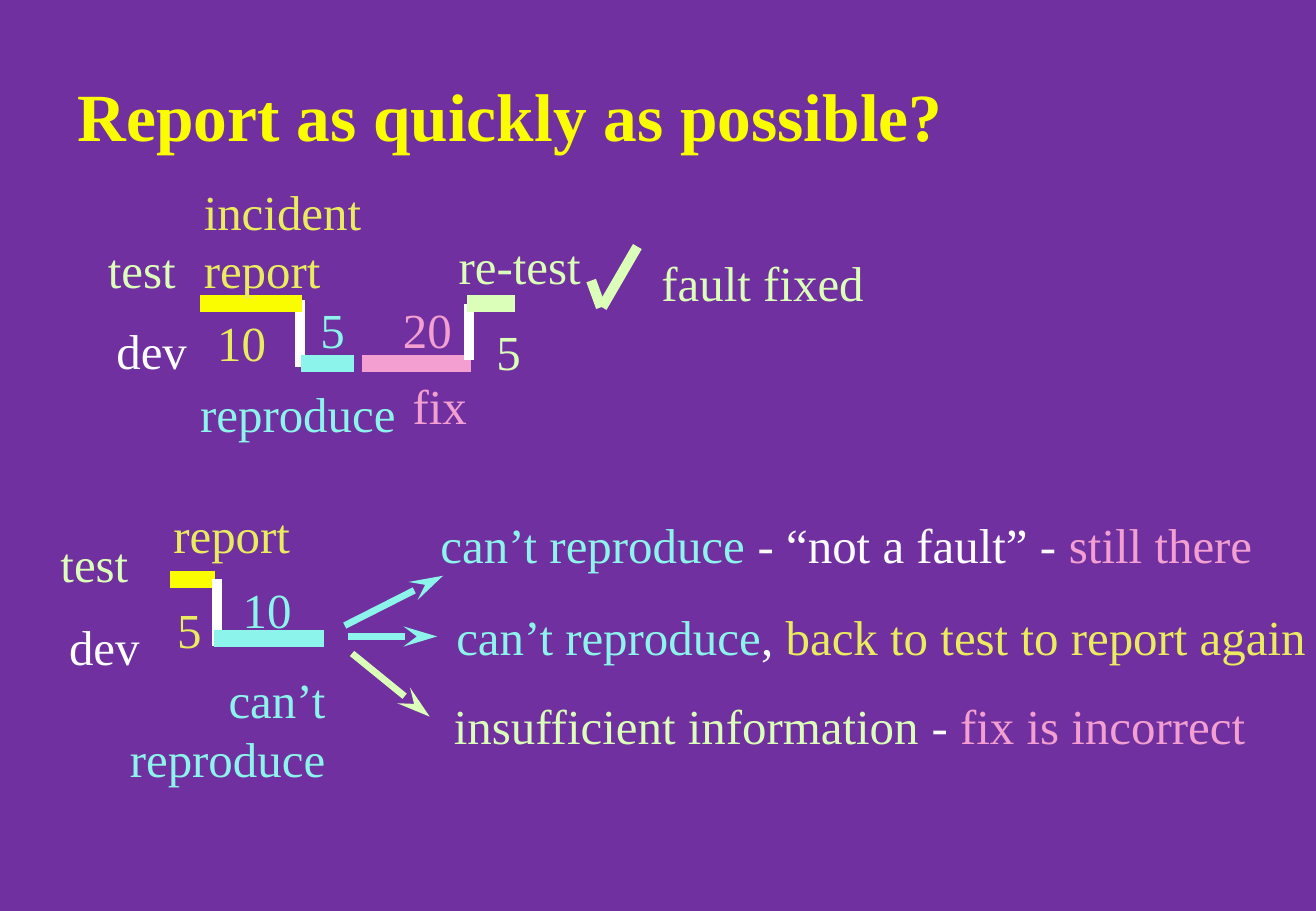
from dataclasses import dataclass

from lxml.etree import SubElement
from pptx import Presentation
from pptx.dml.color import RGBColor
from pptx.enum.shapes import MSO_CONNECTOR as Connector
from pptx.enum.text import MSO_ANCHOR as Anchor, MSO_AUTO_SIZE as AutoSize, PP_ALIGN as Align
from pptx.oxml.ns import qn
from pptx.util import Inches, Pt


@dataclass(frozen=True)
class Theme:
    font: str = "Times New Roman"
    title_size: float = 40
    label_size: float = 29
    label_spacing: float = 34.5
    bar_width: float = 10
    post_width: float = 6
    arrow_width: float = 4
    background: str = "7030A0"
    bright: str = "FAFD00"
    yellow: str = "EAEC5E"
    green: str = "DBFFB8"
    cyan: str = "8CF4EA"
    pink: str = "F39FD1"
    white: str = "FFFFFF"


class SlideBuilder:
    """Places elements on a grid whose columns and rows are a tenth of an inch."""

    def __init__(self, slide, theme):
        self.slide = slide
        self.theme = theme
        fill = slide.background.fill
        fill.solid()
        fill.fore_color.rgb = RGBColor.from_string(theme.background)

    def cells(self, *counts):
        return [Inches(count / 10) for count in counts]

    def add_run(self, paragraph, text, color, size, bold=False):
        run = paragraph.add_run()
        run.text = text
        run.font.name = self.theme.font
        run.font.size = Pt(size)
        run.font.bold = bold
        run.font.color.rgb = RGBColor.from_string(color)

    def set_frame(self, frame, top, bottom):
        frame.margin_left = frame.margin_right = Inches(0.1)
        frame.margin_top, frame.margin_bottom = Inches(top), Inches(bottom)

    def title(self, column, row, width, height, text):
        shape = self.slide.shapes.title
        shape.left, shape.top, shape.width, shape.height = self.cells(column, row, width, height)
        frame = shape.text_frame
        frame.auto_size = AutoSize.NONE
        frame.vertical_anchor = Anchor.MIDDLE
        self.set_frame(frame, 0.06, 0)
        paragraph = frame.paragraphs[0]
        paragraph.alignment = Align.LEFT
        self.add_run(paragraph, text, self.theme.bright, self.theme.title_size, bold=True)

    def label(self, column, row, width, *lines, align=Align.LEFT):
        """Each line is a list of (text, color) runs."""
        height = 5.9 + 4.8 * (len(lines) - 1)
        box = self.slide.shapes.add_textbox(*self.cells(column, row, width, height))
        frame = box.text_frame
        frame.word_wrap = False
        frame.auto_size = AutoSize.SHAPE_TO_FIT_TEXT
        self.set_frame(frame, 0.08, 0.03)
        for index, runs in enumerate(lines):
            paragraph = frame.add_paragraph() if index else frame.paragraphs[0]
            paragraph.alignment = align
            paragraph.line_spacing = Pt(self.theme.label_spacing)
            for text, color in runs:
                self.add_run(paragraph, text, color, self.theme.label_size)

    def line(self, start, end, color, width, arrow=False):
        connector = self.slide.shapes.add_connector(
            Connector.STRAIGHT, *self.cells(*start, *end))
        connector.line.color.rgb = RGBColor.from_string(color)
        connector.line.width = Pt(width)
        properties = connector.element.spPr
        if arrow:
            SubElement(properties.find(qn("a:ln")), qn("a:tailEnd"),
                       type="stealth", w="med", len="lg")
        SubElement(properties, qn("a:effectLst"))

    def bar(self, left, right, row, color):
        self.line((left, row), (right, row), color, self.theme.bar_width)

    def post(self, column, top, bottom):
        self.line((column, top), (column, bottom), self.theme.white, self.theme.post_width)


def main():
    presentation = Presentation()
    presentation.slide_width, presentation.slide_height = Inches(10.84), Inches(7.5)
    theme = Theme()
    slide = presentation.slides.add_slide(presentation.slide_layouts[5])
    builder = SlideBuilder(slide, theme)
    builder.title(5.4, 5.8, 92.1, 6.7, "Report as quickly as possible?")

    # Timeline of a fault that is reported well and fixed
    test_row, dev_row = 25, 29.9
    builder.post(24.7, 24.7, 30.2)
    builder.bar(24.8, 29.2, dev_row, theme.cyan)
    builder.bar(29.8, 38.8, dev_row, theme.pink)
    builder.post(38.6, 25, 29.6)
    builder.bar(38.5, 42.4, test_row, theme.green)
    builder.bar(16.5, 24.9, test_row, theme.bright)

    # Check mark
    for start, end in (((48.7, 23.1), (49.5, 25.3)), ((49.6, 25.3), (52.5, 20.3))):
        builder.line(start, end, theme.green, theme.post_width)

    # Timeline of a hasty report
    builder.bar(14, 17.7, 47.7, theme.bright)
    builder.post(17.9, 47.7, 53.2)
    builder.bar(17.6, 26.7, 52.6, theme.cyan)

    # Labels of both timelines
    for column, row, width, text, color in (
        (7.9, 19, 7.7, "test", theme.green),
        (8.6, 25.6, 7.9, "dev", theme.white),
        (16.9, 25, 6.1, "10", theme.yellow),
        (25.4, 23.9, 4.1, "5", theme.cyan),
        (15.5, 30.8, 18.2, "reproduce", theme.cyan),
        (32.2, 23.9, 6.1, "20", theme.pink),
        (33, 30.2, 6.6, "fix", theme.pink),
        (36.8, 18.6, 12.1, "re-test", theme.green),
        (39.9, 25.7, 4.1, "5", theme.green),
        (53.5, 20, 18.8, "fault fixed", theme.green),
        (4, 43.2, 7.7, "test", theme.green),
        (4.7, 50, 7.9, "dev", theme.white),
        (13.3, 40.8, 11.7, "report", theme.yellow),
        (13.6, 48.6, 4.1, "5", theme.yellow),
        (19, 47, 6.1, "10", theme.cyan),
    ):
        builder.label(column, row, width, [(text, color)])
    builder.label(15.8, 14.2, 15.1, [("incident", theme.yellow)], [("report", theme.yellow)])
    builder.label(9.6, 54.4, 18.2, [("can’t", theme.cyan)], [("reproduce", theme.cyan)],
                  align=Align.RIGHT)

    # Outcomes of the hasty report, each with its arrow
    for start, end, color, place, runs in (
        ((28.4, 51.5), (36.5, 47.4), theme.cyan, (35.3, 41.6, 69),
         [("can’t reproduce", theme.cyan), (" - “not a fault” - ", theme.white),
          ("still there", theme.pink)]),
        ((28.7, 52.4), (36, 52.4), theme.cyan, (36.6, 49.2, 72.2),
         [("can’t reproduce", theme.cyan), (", ", theme.white),
          ("back to test to report again", theme.yellow)]),
        ((29, 53.8), (35.4, 59), theme.green, (36.4, 56.5, 67.4),
         [("insufficient information", theme.green), (" - ", theme.white),
          ("fix is incorrect", theme.pink)]),
    ):
        builder.line(start, end, color, theme.arrow_width, arrow=True)
        builder.label(*place, runs)

    presentation.save("out.pptx")


if __name__ == "__main__":
    main()
